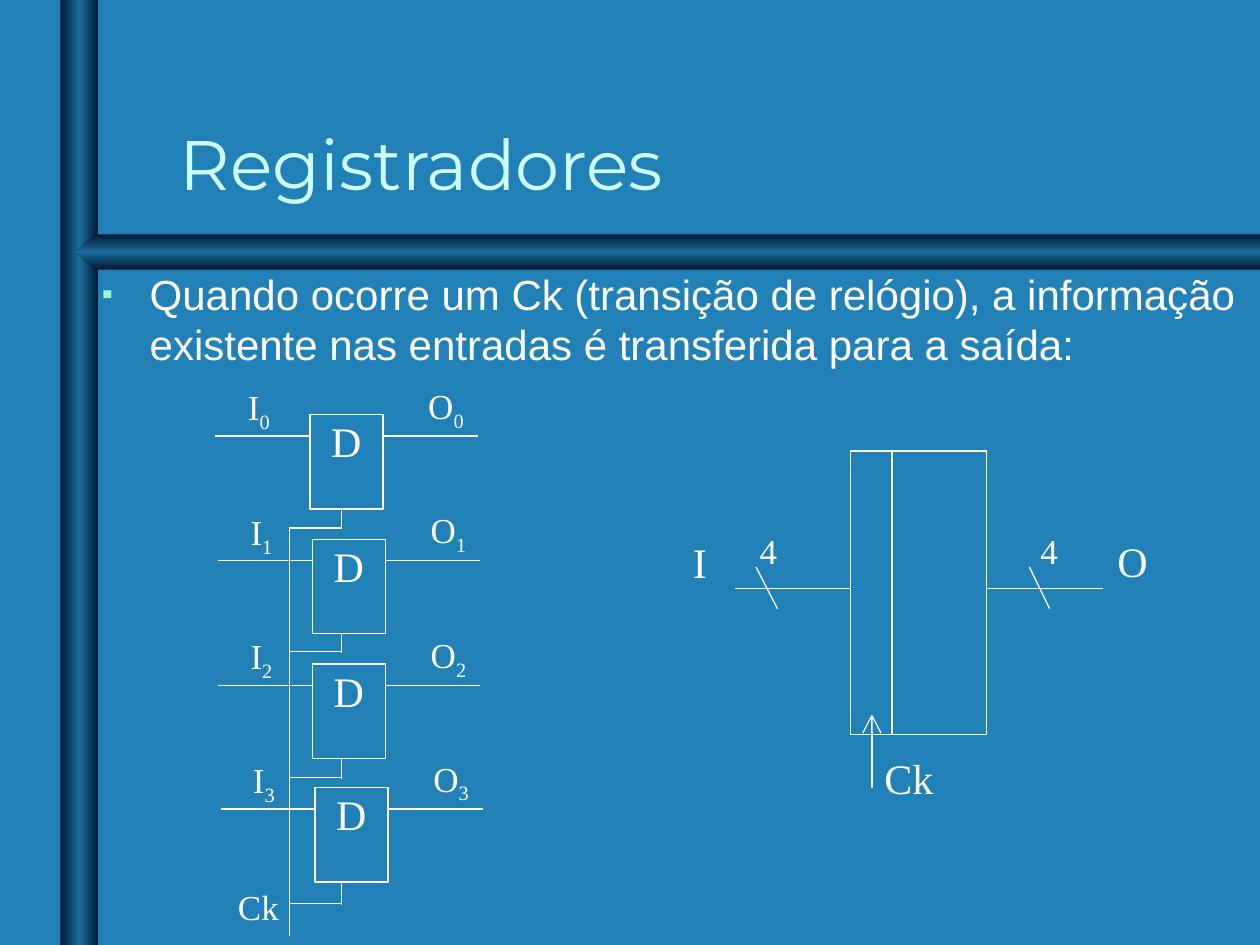
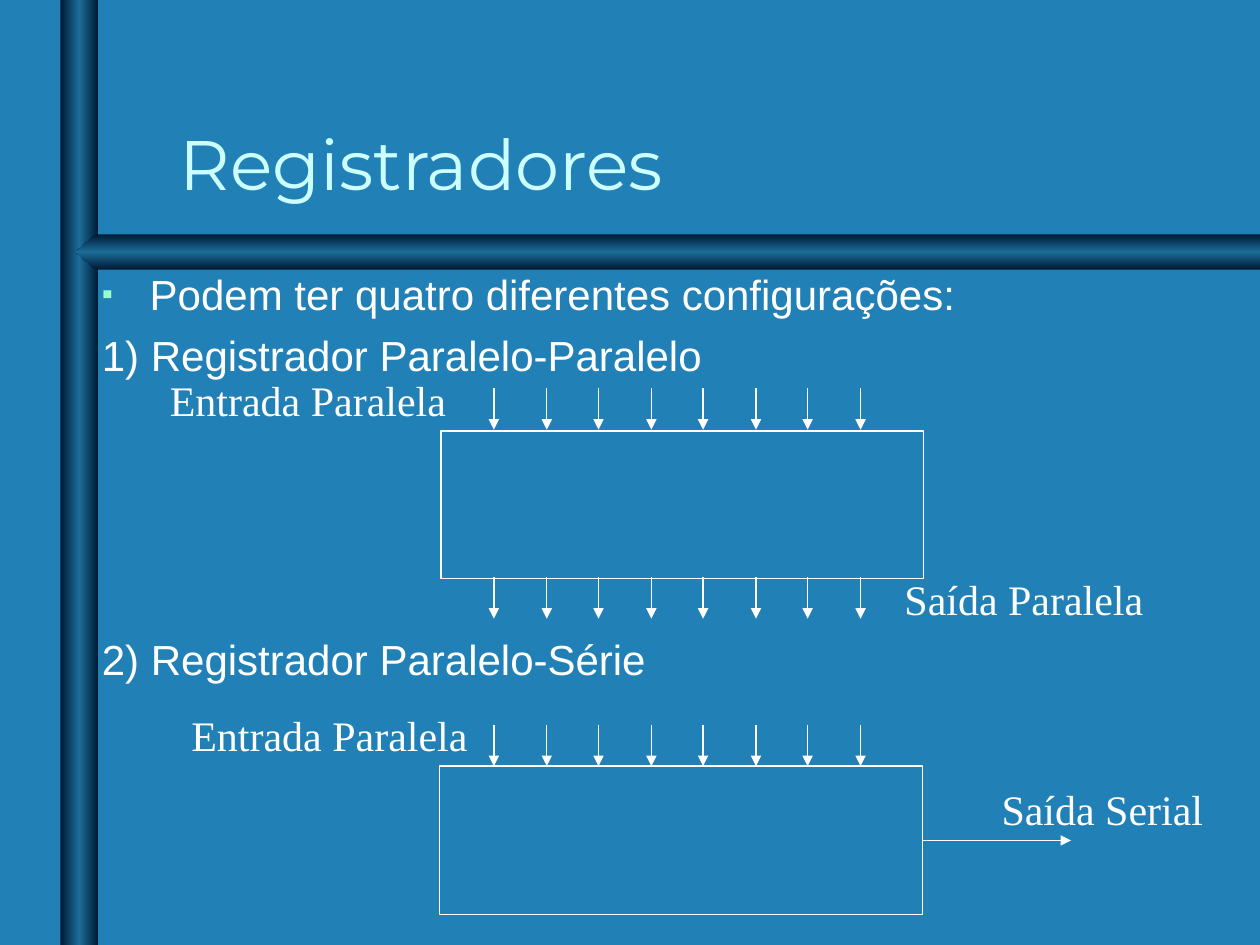
"""Build two slides on registers: a flip-flop register and its parallel and serial forms."""
from copy import deepcopy
from typing import NamedTuple

from lxml import etree
from pptx import Presentation
from pptx.dml.color import RGBColor
from pptx.enum.shapes import MSO_CONNECTOR, MSO_SHAPE
from pptx.enum.text import MSO_ANCHOR, MSO_AUTO_SIZE
from pptx.oxml.ns import qn
from pptx.util import Pt

EMU_PER_PX = 9144
PAGE_WIDTH, PAGE_HEIGHT = 1000, 750
RECTANGLE = MSO_SHAPE.RECTANGLE
STRAIGHT = MSO_CONNECTOR.STRAIGHT
BOTTOM = MSO_ANCHOR.BOTTOM
FIT_SHAPE = MSO_AUTO_SIZE.SHAPE_TO_FIT_TEXT
RIGHT_SIDE = 3

BACKGROUND = RGBColor(0x21, 0x81, 0xB7)
BAND_EDGE = RGBColor(0x00, 0x19, 0x32)
BAND_MIDDLE = RGBColor(0x1C, 0x6D, 0x9A)
TITLE_COLOR = RGBColor(0xCC, 0xFF, 0xFF)
BULLET_COLOR = RGBColor(0x99, 0xFF, 0xCC)
WHITE = RGBColor(0xFF, 0xFF, 0xFF)
TITLE_FONT, BODY_FONT, LABEL_FONT = "Montserrat", "Arial", "Times New Roman"


class Label(NamedTuple):
    """A diagram label, with an optional subscript."""
    text: str
    left: int
    top: int
    width: int
    size: int = 24
    subscript: str = ""
    wrap: bool = False


class Wire(NamedTuple):
    """A straight line with an optional arrowhead at its end."""
    x1: int
    y1: int
    x2: int
    y2: int
    head: str = ""
    head_size: str = "med"


class Box(NamedTuple):
    """An outlined rectangle."""
    left: int
    top: int
    width: int
    height: int


class Stage(NamedTuple):
    """One D flip-flop, with the height where its clock is tapped."""
    left: int
    top: int
    tap: int


class BodyLine(NamedTuple):
    """One paragraph of the body text."""
    text: str
    bullet: bool = False
    space_before: int = 6


STAGES = (Stage(246, 329, 419), Stage(248, 428, 517),
          Stage(248, 527, 617), Stage(250, 625, 717))
STAGE_WIDTH, STAGE_HEIGHT, WIRE_LENGTH = 58, 75, 75
STUB_X, CLOCK_X = 271, 230
CLOCK_LABEL = Label("Ck", 179, 698, 60, 20, wrap=True)
SYMBOL_WIRES = (
    Wire(708, 358, 708, 583), Wire(675, 467, 583, 467), Wire(875, 467, 783, 467),
    Wire(600, 450, 617, 483), Wire(817, 450, 833, 483),
    Wire(692, 625, 692, 567, "arrow", "lg"),
)
SYMBOL_LABELS = (
    Label("I", 540, 421, 31), Label("O", 877, 420, 44), Label("4", 593, 415, 34, 20),
    Label("4", 816, 415, 34, 20), Label("Ck", 692, 592, 59),
)
BUS_LINES, BUS_FIRST, BUS_LAST, BUS_HEIGHT = 8, 392, 683, 33
BUS_TOPS = (308, 458, 575)
PARALLEL_BOX = Box(350, 342, 383, 117)
SERIAL_BOX = Box(349, 608, 383, 118)
SERIAL_OUTPUT = Wire(733, 667, 850, 667, "triangle")
CONFIGURATION_LABELS = (
    Label("Entrada Paralela", 125, 292, 267, wrap=True),
    Label("Saída Paralela", 708, 450, 225, wrap=True),
    Label("Entrada Paralela", 142, 558, 267, wrap=True),
    Label("Saída Serial", 785, 617, 215, wrap=True),
)


def px(*lengths: int) -> list[int]:
    """Turn px lengths into EMU."""
    return [length * EMU_PER_PX for length in lengths]


def style_font(font, name: str, size: int, color: RGBColor) -> None:
    """Set the typeface, size and colour of a font."""
    font.name, font.size = name, Pt(size)
    font.color.rgb = color


def fill_band(shape, angle: int) -> None:
    """Give a band its dark-light-dark gradient and no outline."""
    shape.shadow.inherit = False
    shape.line.fill.background()
    shape.fill.gradient()
    shape.fill.gradient_angle = angle
    stop_list = shape._element.spPr.find(".//" + qn("a:gsLst"))
    stop_list.insert(1, deepcopy(stop_list[0]))
    colors = (BAND_EDGE, BAND_MIDDLE, BAND_EDGE)
    for index, (stop, color) in enumerate(zip(shape.fill.gradient_stops, colors)):
        stop.position = index / 2
        stop.color.rgb = color


def add_bullet(para) -> None:
    """Put a small coloured square before a paragraph."""
    properties = para._p.get_or_add_pPr()
    color = etree.SubElement(properties, qn("a:buClr"))
    etree.SubElement(color, qn("a:srgbClr"), val=str(BULLET_COLOR))
    etree.SubElement(properties, qn("a:buSzPct"), val="75000")
    etree.SubElement(properties, qn("a:buFont"), typeface=BODY_FONT)
    etree.SubElement(properties, qn("a:buChar"), char="▪")


def add_title(page, text: str) -> None:
    """Write the slide title above the horizontal band."""
    frame = page.shapes.add_textbox(*px(133, 42, 850, 125)).text_frame
    frame.word_wrap = True
    frame.vertical_anchor = BOTTOM
    para = frame.paragraphs[0]
    para.text = text
    style_font(para.font, TITLE_FONT, 40, TITLE_COLOR)


def add_body(page, lines: tuple[BodyLine, ...], width: int) -> None:
    """Write the body paragraphs with a hanging indent."""
    frame = page.shapes.add_textbox(*px(71, 208, width, 450)).text_frame
    frame.word_wrap = True
    indent, = px(38)
    for index, line in enumerate(lines):
        para = frame.add_paragraph() if index else frame.paragraphs[0]
        para.text = line.text
        properties = para._p.get_or_add_pPr()
        properties.set("marL", str(indent))
        properties.set("indent", str(-indent))
        if line.bullet:
            add_bullet(para)
        para.space_before = Pt(line.space_before)
        style_font(para.font, BODY_FONT, 24, WHITE)


def add_page(deck, lines: tuple[BodyLine, ...], body_width: int):
    """Add a slide with background, bands, title and body."""
    page = deck.slides.add_slide(deck.slide_layouts[6])
    page.background.fill.solid()
    page.background.fill.fore_color.rgb = BACKGROUND
    fill_band(page.shapes.add_shape(RECTANGLE, *px(48, 0, 30, PAGE_HEIGHT)), 180)
    outline = page.shapes.build_freeform(PAGE_WIDTH, 186, EMU_PER_PX)
    outline.add_line_segments([(76, 186), (60, 200), (76, 214), (PAGE_WIDTH, 214)])
    fill_band(outline.convert_to_shape(), 90)
    add_title(page, "Registradores")
    add_body(page, lines, body_width)
    return page


def add_label(page, label: Label) -> None:
    """Write a label and its subscript."""
    height = 50 if label.size == 24 else 48 if label.subscript else 44
    box = page.shapes.add_textbox(*px(label.left, label.top, label.width, height))
    frame = box.text_frame
    frame.word_wrap = label.wrap
    frame.auto_size = FIT_SHAPE
    para = frame.paragraphs[0]
    para.text = label.text
    style_font(para.font, LABEL_FONT, label.size, WHITE)
    if label.subscript:
        span = para.add_run()
        span.text = label.subscript
        span._r.get_or_add_rPr().set("baseline", "-25000")


def add_wire(page, wire: Wire):
    """Draw a thin white line."""
    line = page.shapes.add_connector(STRAIGHT, *px(*wire[:4]))
    line.line.color.rgb = WHITE
    line.line.width = Pt(0.75)
    if wire.head:
        etree.SubElement(line.line._get_or_add_ln(), qn("a:tailEnd"),
                         type=wire.head, w=wire.head_size, len=wire.head_size)
    etree.SubElement(line._element.spPr, qn("a:effectLst"))
    return line


def add_box(page, box: Box):
    """Draw an unfilled white rectangle."""
    shape = page.shapes.add_shape(RECTANGLE, *px(*box))
    shape.shadow.inherit = False
    shape.fill.background()
    shape.line.color.rgb = WHITE
    shape.line.width = Pt(0.75)
    return shape


def add_stage(page, index: int, stage: Stage) -> None:
    """Draw one flip-flop with its input, output and clock tap."""
    left, top, tap = stage
    right, wire_y, bottom = left + STAGE_WIDTH, top + 17, top + STAGE_HEIGHT
    add_box(page, Box(left, top, STAGE_WIDTH, STAGE_HEIGHT))
    add_label(page, Label("D", left + 7, top - 4, 44))
    add_label(page, Label("I", left - 59, top - 28, 37, 20, str(index)))
    add_label(page, Label("O", left + 84, top - 29, 48, 20, str(index)))
    add_wire(page, Wire(left - WIRE_LENGTH, wire_y, left, wire_y))
    add_wire(page, Wire(right, wire_y, right + WIRE_LENGTH, wire_y))
    add_wire(page, Wire(STUB_X, bottom, STUB_X, tap + 1))
    add_wire(page, Wire(STUB_X, tap, CLOCK_X, tap))


def build_register(deck) -> None:
    """Build the slide with the flip-flops and the register symbol."""
    page = add_page(deck, (BodyLine(
        "Quando ocorre um Ck (transição de relógio), a informação existente "
        "nas entradas é transferida para a saída:", bullet=True),), 1008)
    for index, stage in enumerate(STAGES):
        add_stage(page, index, stage)
    add_wire(page, Wire(CLOCK_X, 418, CLOCK_X, 743))
    add_label(page, CLOCK_LABEL)
    add_box(page, Box(675, 358, 108, 225))
    for wire in SYMBOL_WIRES:
        add_wire(page, wire)
    for label in SYMBOL_LABELS:
        add_label(page, label)


def build_configurations(deck) -> None:
    """Build the slide with the parallel and serial configurations."""
    page = add_page(deck, (
        BodyLine("Podem ter quatro diferentes configurações:", bullet=True),
        BodyLine("1) Registrador Paralelo-Paralelo"),
        BodyLine("2) Registrador Paralelo-Série", space_before=145),
    ), 929)
    add_box(page, PARALLEL_BOX)
    serial = add_box(page, SERIAL_BOX)
    add_wire(page, SERIAL_OUTPUT).begin_connect(serial, RIGHT_SIDE)
    for top in BUS_TOPS:
        for index in range(BUS_LINES):
            x = round(BUS_FIRST + index * (BUS_LAST - BUS_FIRST) / (BUS_LINES - 1))
            add_wire(page, Wire(x, top, x, top + BUS_HEIGHT, "triangle"))
    for label in CONFIGURATION_LABELS:
        add_label(page, label)


def main() -> None:
    """Build and save the deck."""
    deck = Presentation()
    deck.slide_width, deck.slide_height = px(PAGE_WIDTH, PAGE_HEIGHT)
    build_register(deck)
    build_configurations(deck)
    deck.save("out.pptx")


if __name__ == "__main__":
    main()
